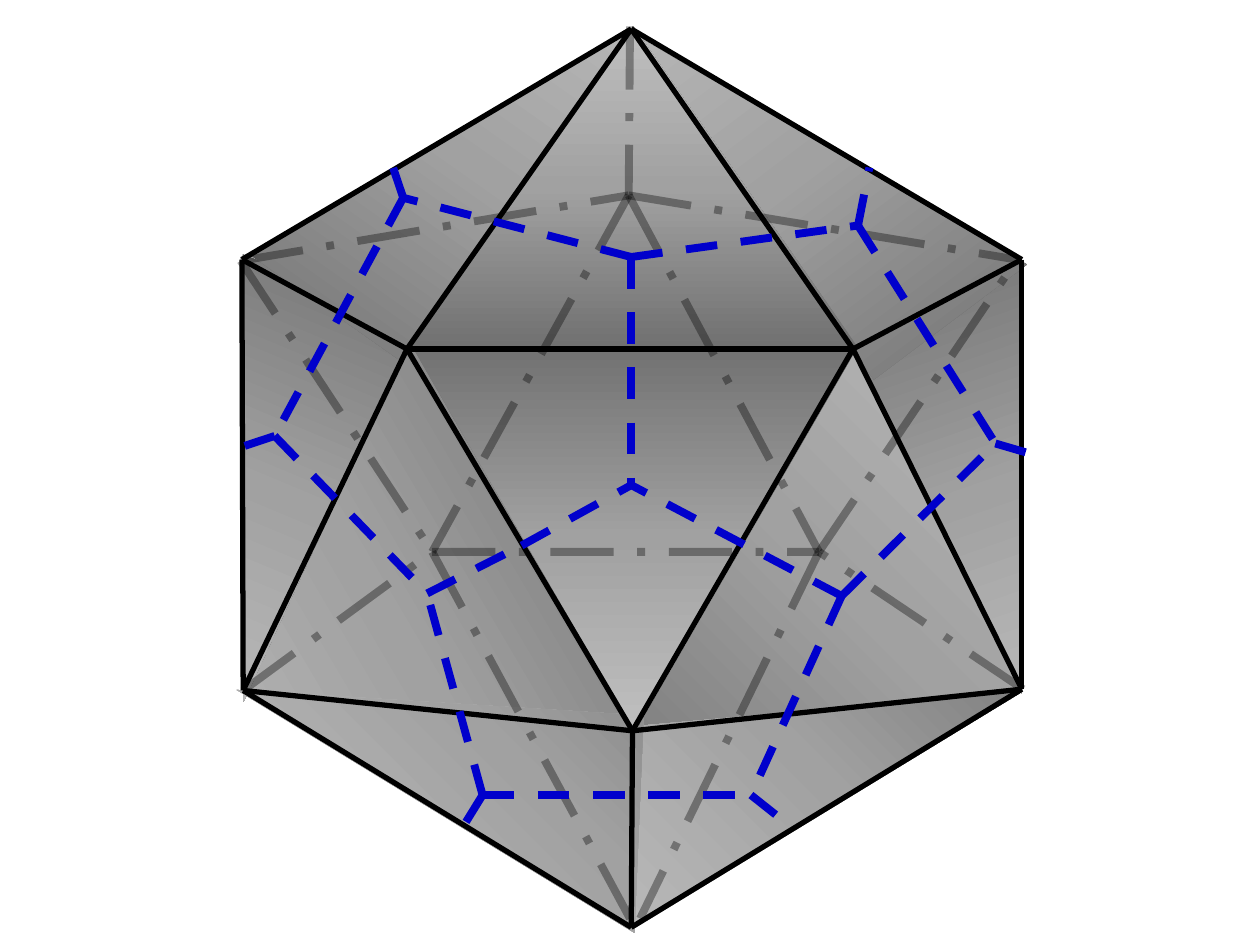
from lxml.etree import SubElement
from pptx import Presentation
from pptx.dml.color import RGBColor
from pptx.enum.dml import MSO_LINE
from pptx.enum.shapes import MSO_CONNECTOR, MSO_SHAPE
from pptx.oxml.ns import qn
from pptx.util import Emu, Pt

TRIANGLE = MSO_SHAPE.ISOSCELES_TRIANGLE
STRAIGHT = MSO_CONNECTOR.STRAIGHT
SOLID, DASH, DASH_DOT = MSO_LINE.SOLID, MSO_LINE.DASH, MSO_LINE.LONG_DASH_DOT

BLACK = RGBColor(0x00, 0x00, 0x00)
BLUE = RGBColor(0x00, 0x00, 0xCC)
DARK = RGBColor(0x71, 0x71, 0x71)
MIDDLE = RGBColor(0xA1, 0xA1, 0xA1)
LIGHT = RGBColor(0xBF, 0xBF, 0xBF)
SHADES = ((0, DARK), (50, MIDDLE), (100, LIGHT))

PX = 9144
SLIDE_BOX = (0, 0, 1000, 750)

UPWARD = None
BOTTOM_LEFT = {"l": 0, "t": 100, "r": 100, "b": 0}
TOP_RIGHT = {"l": 100, "t": 0, "r": 0, "b": 100}

FACES = [
    ((718, 226, 150, 321), 160.7, 0.749, False, UPWARD),
    ((518, 367, 357, 254), 120, 0.473, False, BOTTOM_LEFT),
    ((130, 363, 356, 252), 239.5, 0.519, False, UPWARD),
    ((441, 515, 361, 138), 328.6, 0.774, True, TOP_RIGHT),
    ((200, 504, 370, 151), 31.4, 0.774, False, TOP_RIGHT),
    ((326, 273, 356, 307), 180, 0.5, False, UPWARD),
    ((578, -45, 152, 334), 323.1, 0.078, False, UPWARD),
    ((124, 218, 149, 327), 202.7, 0.078, False, UPWARD),
    ((324, 21, 357, 255), 0, 0.5, False, UPWARD),
    ((277, -45, 145, 318), 35.2, 1, False, UPWARD),
]

BACK_VERTICES = {
    "top": (500, 21), "centre": (499, 155),
    "upper left": (191, 207), "upper right": (807, 206),
    "inner left": (343, 438), "inner right": (650, 438),
    "lower left": (193, 548), "lower right": (812, 547),
    "bottom left": (500, 729), "bottom right": (508, 729),
}
BACK_EDGES = [
    ("inner right", "upper right"), ("inner right", "bottom right"),
    ("inner left", "bottom left"), ("lower right", "inner right"),
    ("upper left", "centre"), ("centre", "upper right"), ("top", "centre"),
    ("lower left", "inner left"), ("inner left", "inner right"),
    ("upper left", "inner left"), ("centre", "inner left"),
    ("centre", "inner right"),
]

FRONT_VERTICES = {
    "top": (501, 23), "bottom": (501, 736), "centre": (502, 580),
    "upper left": (192, 206), "upper right": (811, 206),
    "inner left": (323, 277), "inner right": (677, 277),
    "lower left": (193, 548), "lower right": (811, 547),
}
FRONT_EDGES = [
    ("upper left", "inner left"), ("upper right", "inner right"),
    ("top", "upper left"), ("upper right", "top"),
    ("inner right", "top"), ("inner left", "top"),
    ("upper left", "lower left"), ("upper right", "lower right"),
    ("centre", "lower right"), ("lower left", "centre"),
    ("inner right", "lower right"), ("inner left", "lower left"),
    ("lower left", "bottom"), ("centre", "bottom"), ("lower right", "bottom"),
    ("inner left", "inner right"), ("inner left", "centre"),
    ("inner right", "centre"),
]

DUAL_VERTICES = {
    "top": (501, 204), "centre": (501, 385), "centre left": (414, 433),
    "upper left": (320, 157), "upper right": (681, 179),
    "left": (218, 346), "right": (790, 352),
    "lower left": (339, 471), "lower right": (668, 473),
    "bottom left": (383, 631), "bottom right": (596, 631),
    "upper left rim": (312, 133), "upper right rim": (690, 133),
    "left rim": (194, 354), "right rim": (814, 359),
    "bottom left rim": (367, 657), "bottom right rim": (630, 658),
}
DUAL_EDGES = [
    ("bottom left", "bottom right"), ("lower right", "bottom right"),
    ("bottom left", "bottom left rim"), ("bottom right", "bottom right rim"),
    ("lower right", "right"), ("top", "upper right"),
    ("upper right", "right"), ("right", "right rim"),
    ("top", "upper left"), ("upper left", "left"),
    ("upper left", "upper left rim"), ("upper right", "upper right rim"),
    ("left", "left rim"), ("top", "centre"),
    ("lower left", "centre left"), ("centre left", "centre"),
    ("bottom left", "lower left"), ("left", "lower left"),
    ("lower right", "centre"),
]

BACK_STYLE = {"width": Pt(4.5), "dash_style": DASH_DOT}
FRONT_STYLE = {"width": Pt(3), "dash_style": SOLID}
DUAL_STYLE = {"width": Pt(4.5), "dash_style": DASH}


def emu(*lengths):
    return [Emu(length * PX) for length in lengths]


def shade(face, focus):
    face.fill.gradient()
    gradient = face.element.spPr.find(qn("a:gradFill"))
    gradient.clear()
    gradient.set("rotWithShape", "1")
    stops = SubElement(gradient, qn("a:gsLst"))
    for percent, color in SHADES:
        stop = SubElement(stops, qn("a:gs"), pos=str(percent * 1000))
        SubElement(stop, qn("a:srgbClr"), val=str(color))
    if focus is UPWARD:
        SubElement(gradient, qn("a:lin"), ang="16200000", scaled="0")
    else:
        radial = SubElement(gradient, qn("a:path"))
        radial.set("path", "circle")
        sides = {side: str(percent * 1000) for side, percent in focus.items()}
        SubElement(radial, qn("a:fillToRect"), sides)


def draw_faces(slide, box):
    for (x, y, width, height), turn, apex, mirrored, focus in FACES:
        face = slide.shapes.add_shape(
            TRIANGLE, *emu(box[0] + x, box[1] + y, width, height))
        face.adjustments[0] = apex
        face.rotation = turn
        if mirrored:
            face.element.spPr.get_or_add_xfrm().set("flipH", "1")
        shade(face, focus)
        face.line.fill.background()
        face.shadow.inherit = False


def draw_edges(slide, box, vertices, edges, color, style, opacity=100):
    for ends in edges:
        points = [box[axis] + vertices[end][axis] for end in ends for axis in (0, 1)]
        edge = slide.shapes.add_connector(STRAIGHT, *emu(*points))
        edge.line.color.rgb = color
        for attribute, value in style.items():
            setattr(edge.line, attribute, value)
        properties = edge.element.spPr
        if opacity < 100:
            tint = properties.find(".//" + qn("a:srgbClr"))
            SubElement(tint, qn("a:alpha"), val=str(opacity * 1000))
        SubElement(properties, qn("a:effectLst"))


def draw_icosahedron(slide, box):
    draw_faces(slide, box)
    draw_edges(slide, box, BACK_VERTICES, BACK_EDGES, BLACK, BACK_STYLE, 35)
    draw_edges(slide, box, FRONT_VERTICES, FRONT_EDGES, BLACK, FRONT_STYLE)


def draw_dual(slide, box):
    draw_edges(slide, box, DUAL_VERTICES, DUAL_EDGES, BLUE, DUAL_STYLE)


def main():
    presentation = Presentation()
    presentation.slide_width, presentation.slide_height = emu(*SLIDE_BOX[2:])
    slide = presentation.slides.add_slide(presentation.slide_layouts[6])
    draw_icosahedron(slide, SLIDE_BOX)
    draw_dual(slide, SLIDE_BOX)
    presentation.save("out.pptx")


if __name__ == "__main__":
    main()
